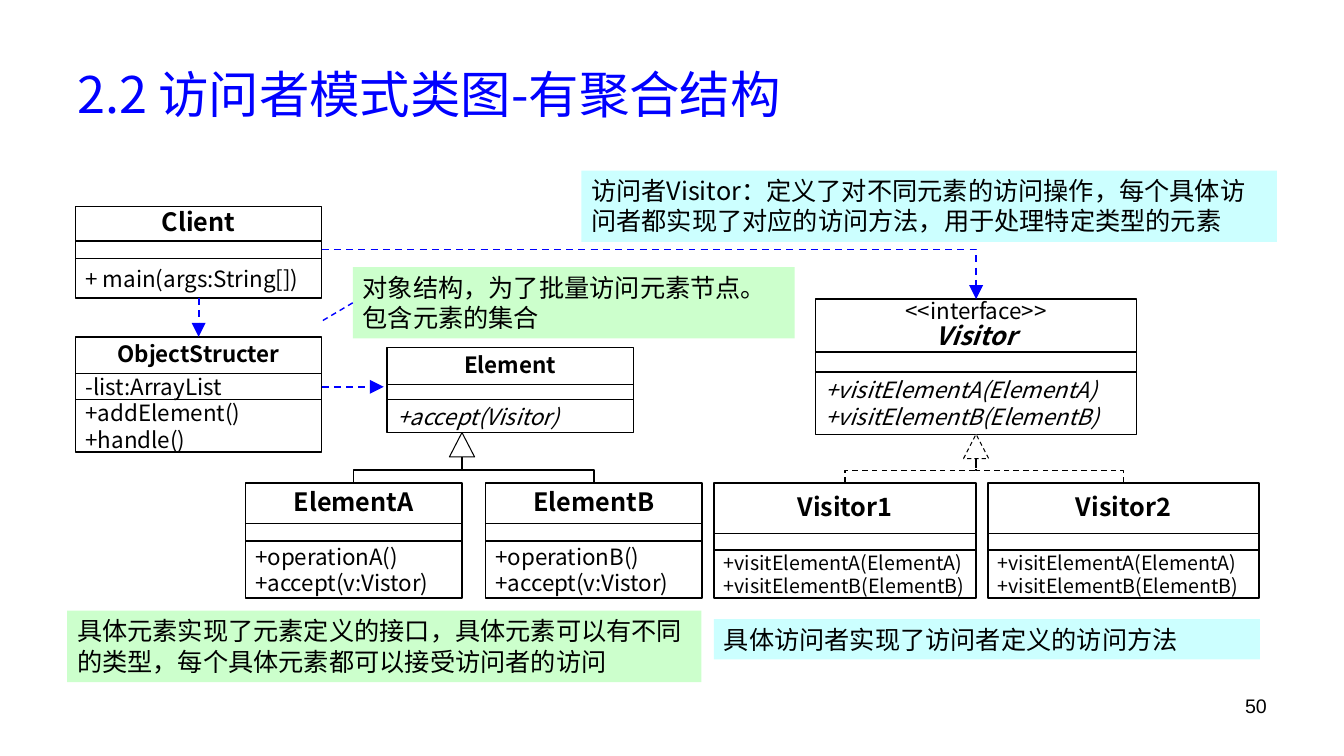
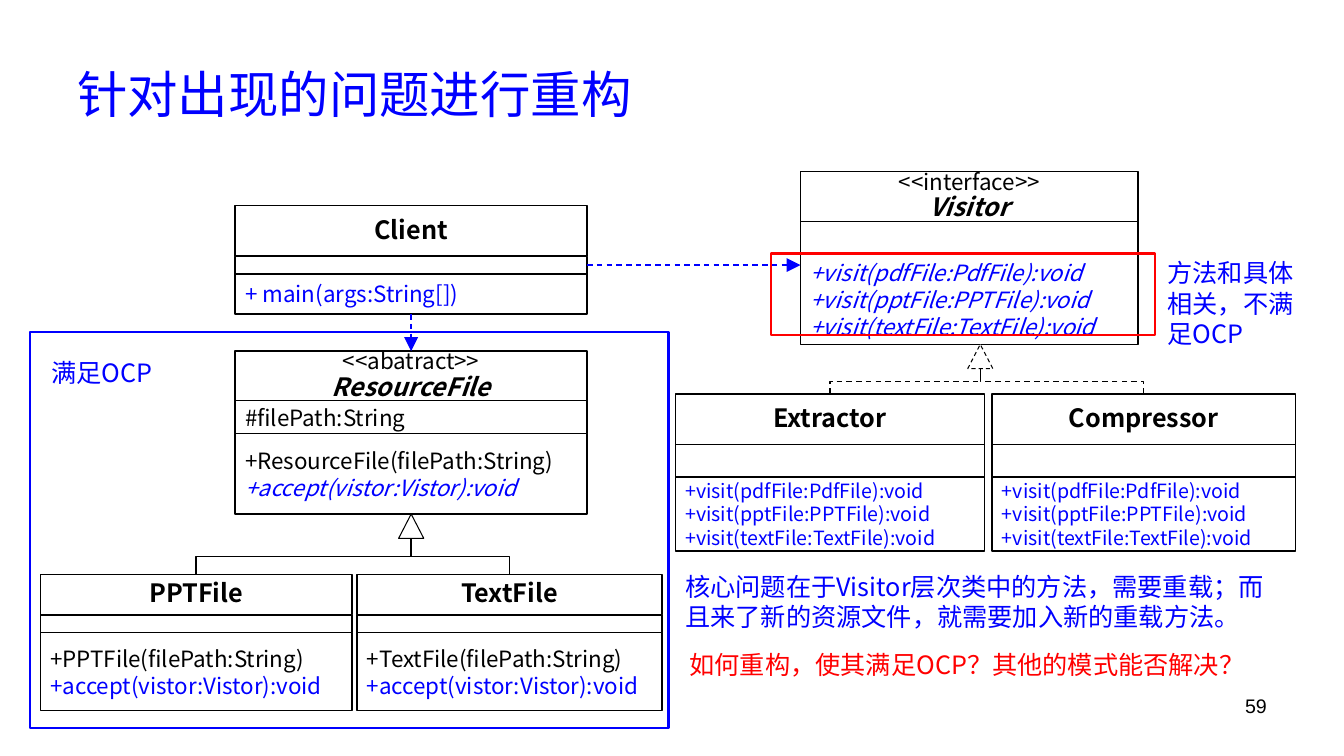
"""Build two slides of UML class diagrams for the visitor pattern."""
from dataclasses import dataclass, replace
from typing import Any, Optional, Sequence

from lxml import etree
from pptx import Presentation
from pptx import util as u
from pptx.dml.color import RGBColor
from pptx.enum import dml, shapes, text
from pptx.oxml import ns

COLS, ROWS = 160, 90
SLIDE_W, SLIDE_H = u.Inches(13.33), u.Inches(7.5)
COLORS = {"ink": "000000", "blue": "0000FF", "red": "FF0000", "white": "FFFFFF",
          "green": "CCFFCC", "cyan": "CCFFFF"}
SANS, NUMBER_FONT = "Noto Sans CJK SC", "Arial"
TRI_W, TRI_H = 3, 2.9
TOP, LEFT, BOTTOM, RIGHT = range(4)


@dataclass(frozen=True)
class Line:
    """One paragraph of text in one style."""
    text: str
    size: float = 16
    color: str = "ink"
    bold: bool = False
    italic: bool = False
    font: str = SANS


@dataclass(frozen=True)
class Box:
    """A rectangle in grid columns and rows."""
    x: float
    y: float
    w: float
    h: float

    @property
    def mid(self) -> float:
        """Return the column of the centre."""
        return self.x + self.w / 2


@dataclass(frozen=True)
class UmlClass:
    """A class drawn as name, attribute and method compartments."""
    x: float
    y: float
    w: float
    heights: tuple[float, float, float]
    name: tuple[Line, ...]
    methods: tuple[Line, ...]
    attrs: tuple[Line, ...] = ()

    @property
    def box(self) -> Box:
        """Return the whole outline."""
        return Box(self.x, self.y, self.w, sum(self.heights))


@dataclass(frozen=True)
class Label:
    """A block of text with an optional fill."""
    box: Box
    text: str
    color: str = "ink"
    fill: Optional[str] = None


@dataclass(frozen=True)
class Stroke:
    """The look of a line."""
    color: str = "ink"
    width: float = 1
    dashed: bool = False
    arrow: bool = False


def gx(cols: float) -> int:
    """Convert columns to a length."""
    return u.Emu(round(SLIDE_W * cols / COLS))


def gy(rows: float) -> int:
    """Convert rows to a length."""
    return u.Emu(round(SLIDE_H * rows / ROWS))


def rgb(name: str) -> RGBColor:
    """Look up a named colour."""
    return RGBColor.from_string(COLORS[name])


def write(sp: Any, lines: Sequence[Line], align: Any = text.PP_ALIGN.LEFT,
          anchor: Any = text.MSO_ANCHOR.TOP, spacing: Optional[float] = None) -> None:
    """Fill a shape with paragraphs of one run each."""
    tf = sp.text_frame
    tf.word_wrap = True
    tf.vertical_anchor = anchor
    for i, line in enumerate(lines):
        p = tf.add_paragraph() if i else tf.paragraphs[0]
        p.alignment = align
        p.line_spacing = spacing
        r = p.add_run()
        r.text = line.text
        f = r.font
        f.name, f.size, f.bold, f.italic = line.font, u.Pt(line.size), line.bold, line.italic
        f.color.rgb = rgb(line.color)
        etree.SubElement(f._element, ns.qn("a:ea"), typeface=line.font)


def set_stroke(ln: Any, stroke: Stroke) -> None:
    """Apply colour, width and dash to a line."""
    ln.color.rgb = rgb(stroke.color)
    ln.width = u.Pt(stroke.width)
    if stroke.dashed:
        ln.dash_style = dml.MSO_LINE.DASH


def add_box(tree: Any, box: Box, stroke: Optional[Stroke] = None, fill: Optional[str] = None,
            kind: Any = shapes.MSO_SHAPE.RECTANGLE) -> Any:
    """Add a preset shape."""
    sp = tree.add_shape(kind, gx(box.x), gy(box.y), gx(box.w), gy(box.h))
    sp.shadow.inherit = False
    if fill:
        sp.fill.solid()
        sp.fill.fore_color.rgb = rgb(fill)
    else:
        sp.fill.background()
    if stroke:
        set_stroke(sp.line, stroke)
    else:
        sp.line.fill.background()
    return sp


def add_text(s: Any, box: Box, line: Line, **layout: Any) -> None:
    """Add a plain text box."""
    sp = s.shapes.add_textbox(gx(box.x), gy(box.y), gx(box.w), gy(box.h))
    write(sp, [line], **layout)


def add_label(s: Any, label: Label) -> Any:
    """Add a filled note or an unfilled remark."""
    line = Line(label.text, 18, label.color)
    if not label.fill:
        return add_text(s, label.box, line)
    sp = add_box(s.shapes, label.box, fill=label.fill)
    write(sp, [line])
    return sp


def add_class(s: Any, uml: UmlClass) -> list[Any]:
    """Add a grouped class and return its three compartments."""
    group = s.shapes.add_group_shape()
    parts, y = [], uml.y
    for i, (h, lines) in enumerate(zip(uml.heights, (uml.name, uml.attrs, uml.methods))):
        sp = add_box(group.shapes, Box(uml.x, y, uml.w, h), Stroke())
        if i:
            sp.text_frame.margin_right = 0
        write(sp, lines, text.PP_ALIGN.LEFT if i else text.PP_ALIGN.CENTER,
              text.MSO_ANCHOR.MIDDLE, None if i else 0.9)
        parts.append(sp)
        y += h
    return parts


def add_line(s: Any, x1: int, y1: int, x2: int, y2: int, stroke: Stroke,
             kind: Any = shapes.MSO_CONNECTOR.STRAIGHT) -> Any:
    """Add a connector between two points."""
    c = s.shapes.add_connector(kind, x1, y1, x2, y2)
    set_stroke(c.line, stroke)
    if stroke.arrow:
        etree.SubElement(c.line._get_or_add_ln(), ns.qn("a:tailEnd"),
                         type="triangle", w="lg", len="lg")
    etree.SubElement(c._element.spPr, ns.qn("a:effectLst"))
    return c


def add_link(s: Any, start: Any, site: int, x: float, y: float, stroke: Stroke) -> Any:
    """Add a straight connector joined to its starting shape."""
    c = add_line(s, 0, 0, gx(x), gy(y), stroke)
    c.begin_connect(start, site)
    return c


def add_elbow(s: Any, x1: float, y1: float, x2: float, y2: float, stroke: Stroke) -> None:
    """Add an arrow that runs across and then down."""
    c = add_line(s, gx(x1), gy(y1), gx(x2), gy(y2), stroke, shapes.MSO_CONNECTOR.ELBOW)
    c._element.spPr.find(ns.qn("a:prstGeom")).set("prst", "bentConnector2")


def add_inheritance(s: Any, parent: UmlClass, children: Sequence[UmlClass],
                    x: float, dashed: bool = False) -> None:
    """Add a hollow triangle and an elbow from each child up to it."""
    y = parent.box.y + parent.box.h
    add_box(s.shapes, Box(x - TRI_W / 2, y, TRI_W, TRI_H), Stroke("ink", 0.75, dashed),
            "white", shapes.MSO_SHAPE.ISOSCELES_TRIANGLE)
    for child in children:
        dx, dy = gx(abs(child.box.mid - x)), gy(child.y - y - TRI_H)
        cx, cy = gx((child.box.mid + x) / 2), gy((child.y + y + TRI_H) / 2)
        side = 1 if child.box.mid < x else -1
        c = add_line(s, cx + side * dy // 2, cy + dx // 2, cx - side * dy // 2, cy - dx // 2,
                     Stroke("ink", 1, dashed), shapes.MSO_CONNECTOR.ELBOW)
        c._element.spPr.get_or_add_xfrm().rot = 90 if side > 0 else 270


def add_slide(prs: Any, title: str, number: str) -> Any:
    """Add a blank slide with its title and number."""
    s = prs.slides.add_slide(prs.slide_layouts[6])
    add_text(s, Box(8, 3.6, 144, 15), Line(title, 36, "blue"), anchor=text.MSO_ANCHOR.MIDDLE)
    add_text(s, Box(114.7, 82, 37.3, 6.2), Line(number, 14, font=NUMBER_FONT),
             align=text.PP_ALIGN.RIGHT)
    return s


def lines_of(*texts: str, **style: Any) -> tuple[Line, ...]:
    """Make lines that share one style."""
    return tuple(Line(t, **style) for t in texts)


def heading(name: str, size: float = 18) -> tuple[Line, ...]:
    """Make the name of a concrete class."""
    return lines_of(name, size=size, bold=True)


def abstract(stereotype: str, name: str) -> tuple[Line, ...]:
    """Make a stereotype above an abstract name."""
    return Line(stereotype), Line(name, 18, bold=True, italic=True)


def build_pattern(prs: Any) -> None:
    """Build the class diagram of the pattern."""
    s = add_slide(prs, "2.2 访问者模式类图-有聚合结构", "50")
    visits = ("+visitElementA(ElementA)", "+visitElementB(ElementB)")
    client = UmlClass(9, 24.6, 29.3, (4.1, 2.1, 4.7), heading("Client"),
                      lines_of("+ main(args:String[])"))
    structure = UmlClass(9, 40.1, 29.3, (4.4, 3.1, 6.2), heading("ObjectStructer", 16),
                         lines_of("+addElement()", "+handle()"), lines_of("-list:ArrayList"))
    element = UmlClass(46.1, 41.4, 29.3, (4.4, 1.8, 3.9), heading("Element", 16),
                       lines_of("+accept(Visitor)", italic=True))
    elements = [UmlClass(x, 57.5, 25.8, (4.8, 2.1, 6.8), heading(f"Element{k}"),
                         lines_of(f"+operation{k}()", "+accept(v:Vistor)"))
                for k, x in (("A", 29.2), ("B", 57.8))]
    visitor = UmlClass(97.1, 35.6, 38.2, (6.3, 2.4, 7.4), abstract("<<interface>>", "Visitor"),
                       lines_of(*visits, italic=True))
    visitors = [UmlClass(x, 57.5, w, (6, 2, 5.7), heading(f"Visitor{k}"),
                         lines_of(*visits, size=14))
                for k, x, w in ((1, 85, 31.2), (2, 117.6, 32.3))]
    for uml in (element, visitor, *elements, *visitors):
        add_class(s, uml)
    client_parts, structure_parts = add_class(s, client), add_class(s, structure)
    add_inheritance(s, visitor, visitors, visitor.box.mid, dashed=True)
    add_inheritance(s, element, elements, 55)
    arrow = Stroke("blue", 1.25, dashed=True, arrow=True)
    add_link(s, client_parts[2], BOTTOM, client.box.mid, structure.y,
             arrow).end_connect(structure_parts[0], TOP)
    add_link(s, structure_parts[1], RIGHT, 45.7, 46.05, arrow)
    add_elbow(s, client.x + client.w, 29.7, visitor.box.mid, visitor.y, arrow)
    note = add_label(s, Label(Box(42, 31.8, 52.6, 8.5),
                              "对象结构，为了批量访问元素节点。包含元素的集合", fill="green"))
    add_link(s, note, LEFT, 38.2, 38.3, Stroke("blue", 1, dashed=True))
    for label in (
        Label(Box(69.2, 20.3, 82.8, 8.5), "访问者Visitor：定义了对不同元素的访问操作，"
              "每个具体访问者都实现了对应的访问方法，用于处理特定类型的元素", fill="cyan"),
        Label(Box(85, 73.7, 65, 4.8), "具体访问者实现了访问者定义的访问方法", fill="cyan"),
        Label(Box(8, 72.7, 75.5, 8.5), "具体元素实现了元素定义的接口，具体元素可以有不同的类型，"
              "每个具体元素都可以接受访问者的访问", fill="green"),
    ):
        add_label(s, label)


def build_refactoring(prs: Any) -> None:
    """Build the diagram of the refactored file classes."""
    s = add_slide(prs, "针对出现的问题进行重构", "59")
    visits = ("+visit(pdfFile:PdfFile):void", "+visit(pptFile:PPTFile):void",
              "+visit(textFile:TextFile):void")
    accept = Line("+accept(vistor:Vistor):void", color="blue")
    client = UmlClass(28, 24.5, 41.9, (6, 2.1, 4.8), heading("Client"),
                      lines_of("+ main(args:String[])", color="blue"))
    resource = UmlClass(28, 41.8, 41.9, (5.9, 3.9, 9.6), abstract("<<abatract>>", "ResourceFile"),
                        (Line("+ResourceFile(filePath:String)"), replace(accept, italic=True)),
                        lines_of("#filePath:String"))
    files = [UmlClass(x, 68.4, w, (4.8, 2.1, 9.3), heading(name),
                      (Line(f"+{name}(filePath:String)"), accept))
             for name, x, w in (("PPTFile", 4.8, 37.1), ("TextFile", 42.5, 36.3))]
    visitor = UmlClass(95.3, 20.4, 40.2, (6, 3.9, 10.7), abstract("<<interface>>", "Visitor"),
                       lines_of(*visits, color="blue", italic=True))
    visitors = [UmlClass(x, 46.9, w, (6, 3.9, 8.8), heading(name),
                         lines_of(*visits, size=14, color="blue"))
                for name, x, w in (("Extractor", 80.4, 36.8), ("Compressor", 118.1, 36.1))]
    for uml in (*files, *visitors, visitor):
        add_class(s, uml)
    resource_parts, client_parts = add_class(s, resource), add_class(s, client)
    add_inheritance(s, visitor, visitors, 116.7, dashed=True)
    add_inheritance(s, resource, files, resource.box.mid)
    arrow = Stroke("blue", 1, dashed=True, arrow=True)
    add_link(s, client_parts[2], BOTTOM, client.box.mid, resource.y,
             arrow).end_connect(resource_parts[0], TOP)
    add_link(s, client_parts[1], RIGHT, visitor.x, 31.55, arrow)
    add_box(s.shapes, Box(91.8, 30.2, 45.7, 9.7), Stroke("red", 1.75))
    add_box(s.shapes, Box(3.6, 39.5, 76, 47.2), Stroke("blue", 1.75))
    for label in (
        Label(Box(137.8, 30.1, 18.7, 12.1), "方法和具体相关，不满足OCP", "blue"),
        Label(Box(4.9, 41.9, 22.1, 4.8), "满足OCP", "blue"),
        Label(Box(80.4, 67.4, 71.6, 8.5), "核心问题在于Visitor层次类中的方法，需要重载；"
              "而且来了新的资源文件，就需要加入新的重载方法。", "blue"),
        Label(Box(80.9, 76.7, 71.6, 4.8), "如何重构，使其满足OCP？其他的模式能否解决？", "red"),
    ):
        add_label(s, label)


def main() -> None:
    """Build and save the presentation."""
    prs = Presentation()
    prs.slide_width, prs.slide_height = SLIDE_W, SLIDE_H
    build_pattern(prs)
    build_refactoring(prs)
    prs.save("out.pptx")


if __name__ == "__main__":
    main()
